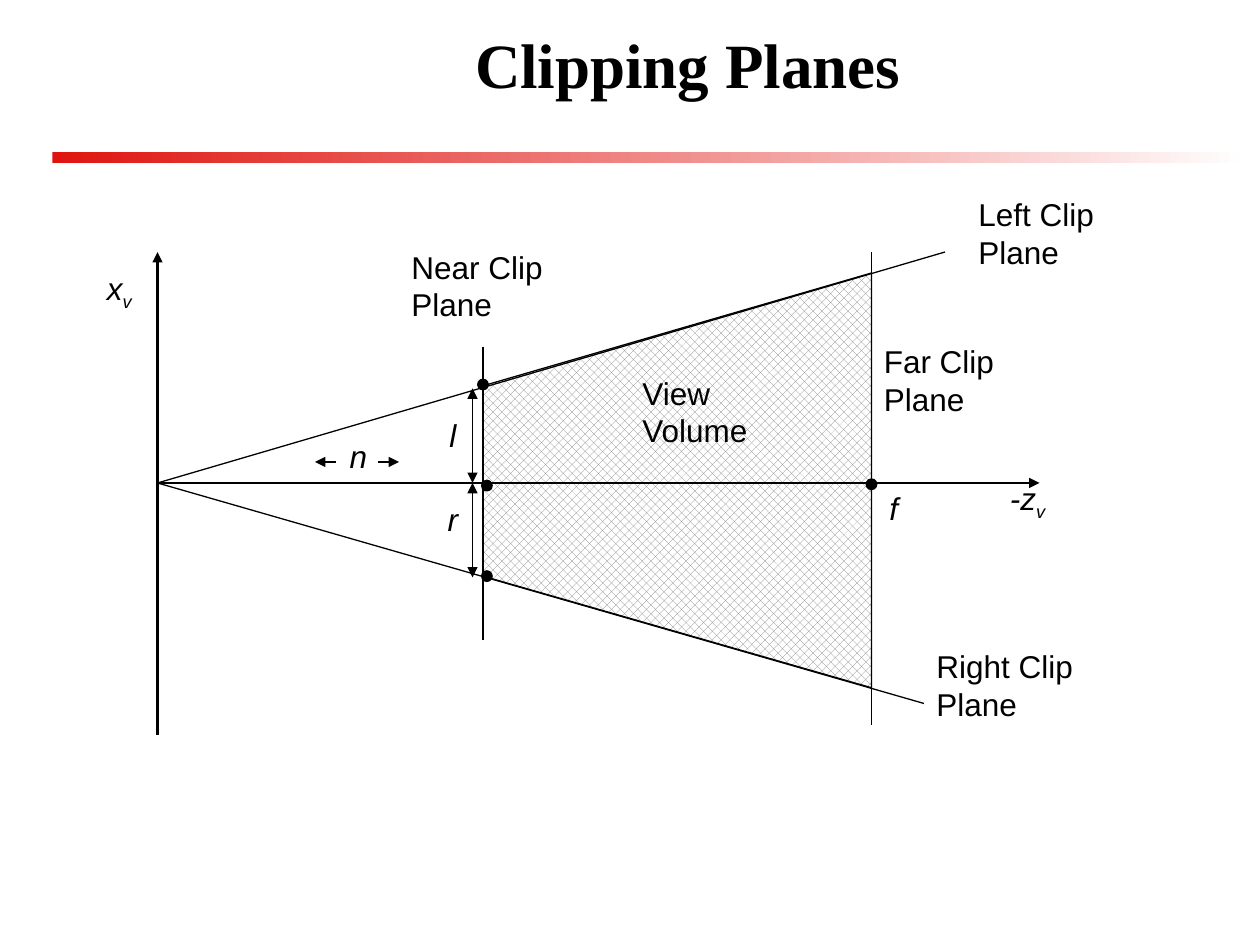
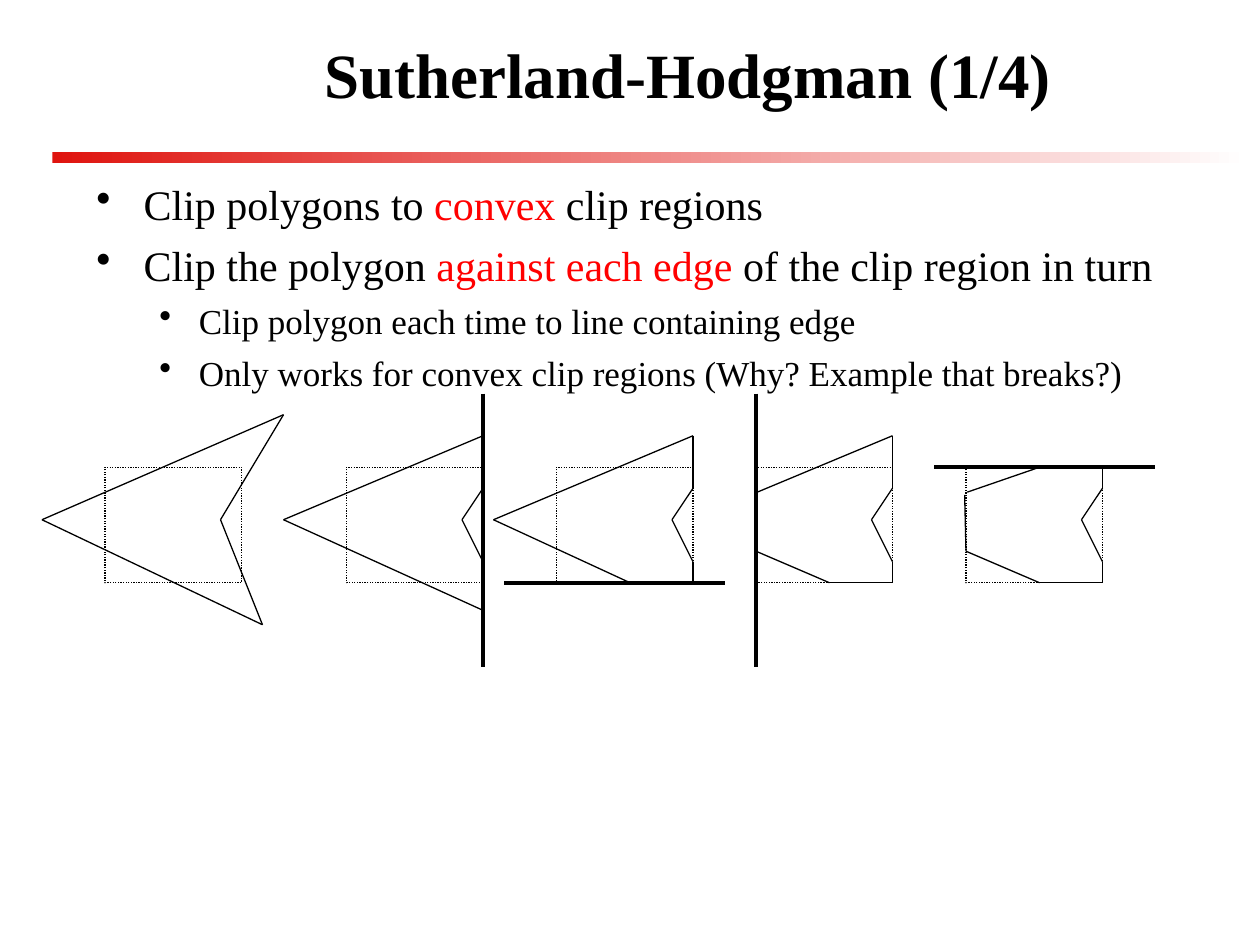
import itertools

import pptx
import pptx.util
import pptx.dml.color
import pptx.enum.dml
import pptx.enum.shapes
import pptx.enum.text
import pptx.oxml.ns
from lxml import etree

PX = 9525  # EMU in one px, 96 px to the inch
KIND = pptx.enum.shapes.MSO_SHAPE
ALIGN = pptx.enum.text.PP_ALIGN
qn = pptx.oxml.ns.qn


class Theme:
    black = pptx.dml.color.RGBColor.from_string("000000")
    white = pptx.dml.color.RGBColor.from_string("FFFFFF")
    red = pptx.dml.color.RGBColor.from_string("FF0000")
    band = pptx.dml.color.RGBColor.from_string("DF140F")
    hatch = pptx.dml.color.RGBColor.from_string("808080")
    serif, sans = "Times New Roman", "Arial"
    title, body, sub, label = 36, 24, 20, 18
    thin, axis, cut = 0.75, 1.5, 2.25


def draw(slide, start, end, width=Theme.thin, ends=()):
    """Draw a straight line; ends may name headEnd and tailEnd arrows."""
    line = slide.shapes.add_connector(
        pptx.enum.shapes.MSO_CONNECTOR.STRAIGHT, *(v * PX for v in (*start, *end)))
    line.line.color.rgb = Theme.black
    line.line.width = pptx.util.Pt(width)
    for name in ends:
        etree.SubElement(line.line._get_or_add_ln(), qn("a:" + name), type="triangle")
    etree.SubElement(line._element.spPr, qn("a:effectLst"))


def write(slide, box, paras, size, face, align=ALIGN.LEFT, bold=False, ital=False):
    """Write paragraphs of (text, colour, baseline) runs and return the frame."""
    frame = slide.shapes.add_textbox(*(v * PX for v in box)).text_frame
    frame.word_wrap = True
    for i, runs in enumerate(paras):
        para = frame.add_paragraph() if i else frame.paragraphs[0]
        para.alignment = align
        for text, tint, base in runs:
            run = para.add_run()
            run.text = text
            run.font.size = pptx.util.Pt(size)
            run.font.name = face
            run.font.bold = bold
            run.font.italic = ital
            run.font.color.rgb = tint
            if base:
                run._r.get_or_add_rPr().set("baseline", str(base))
    return frame


deck = pptx.Presentation()
deck.slide_width, deck.slide_height = 960 * PX, 720 * PX

# Shared band and title
pages = []
for name, top in (("Clipping Planes", 8), ("Sutherland-Hodgman (1/4)", 16)):
    page = deck.slides.add_slide(deck.slide_layouts[6])
    band = page.shapes.add_shape(KIND.RECTANGLE, 40 * PX, 116 * PX, 912 * PX, 8 * PX)
    band.shadow.inherit = False
    band.line.fill.background()
    band.fill.gradient()
    band.fill.gradient_angle = 0
    for stop, tint in zip(band.fill.gradient_stops, (Theme.band, Theme.white)):
        stop.color.rgb = tint
    frame = write(page, (112, top, 824, 80), [[(name, Theme.black, 0)]],
                  Theme.title, Theme.serif, ALIGN.CENTER, bold=True)
    frame.vertical_anchor = pptx.enum.text.MSO_ANCHOR.MIDDLE
    pages.append(page)
view, clip = pages

# View volume
path = view.shapes.build_freeform(664, 208, scale=PX)
path.add_line_segments([(368, 294), (368, 439), (664, 524)], close=True)
zone = path.convert_to_shape()
zone.shadow.inherit = False
zone.fill.patterned()
zone.fill.pattern = pptx.enum.dml.MSO_PATTERN.PERCENT_50
zone.fill.fore_color.rgb = Theme.hatch
zone.fill.back_color.rgb = Theme.white
zone.line.color.rgb = Theme.black
zone.line.width = pptx.util.Pt(Theme.thin)

# Axes, clip planes and measures
eye = (120, 368)
tail, both = ("tailEnd",), ("headEnd", "tailEnd")
for start, end, width, ends in (
    (eye, (792, 368), Theme.axis, tail),
    ((120, 560), (120, 192), Theme.axis, tail),
    (eye, (720, 192), Theme.thin, ()),
    (eye, (704, 536), Theme.thin, ()),
    ((368, 264), (368, 488), Theme.thin, ()),
    ((664, 192), (664, 552), Theme.thin, ()),
    ((288, 352), (304, 352), Theme.thin, tail),
    ((256, 352), (240, 352), Theme.thin, tail),
    ((360, 368), (360, 296), Theme.thin, both),
    ((360, 440), (360, 368), Theme.thin, both),
):
    draw(view, start, end, width, ends)

# Plane names
for left, top, wide, rows in (
    (304, 184, 152, ["Near Clip Plane"]),
    (664, 256, 152, ["Far Clip Plane"]),
    (480, 280, 137, ["View Volume"]),
    (736, 144, 135, ["Left Clip", "Plane"]),
    (704, 488, 154, ["Right Clip", "Plane"]),
):
    write(view, (left, top, wide, 86), [[(row, Theme.black, 0)] for row in rows],
          Theme.label, Theme.sans)

# Axis names and distances
for left, top, text in ((72, 200, "x"), (760, 360, "-z")):
    write(view, (left, top, 52, 48),
          [[(text, Theme.black, 0), ("v", Theme.black, -25000)]],
          Theme.label, Theme.sans, ital=True)
for left, top, text in ((656, 368, "f"), (248, 328, "n"), (320, 312, "l"), (320, 376, "r")):
    write(view, (left, top, 50, 48), [[(text, Theme.black, 0)]],
          Theme.label, Theme.sans, ALIGN.CENTER, ital=True)

# Crossing points
for left, top in ((660, 365), (367, 366), (364, 289), (367, 435)):
    dot = view.shapes.add_shape(KIND.OVAL, left * PX, top * PX, 8 * PX, 8 * PX)
    dot.shadow.inherit = False
    dot.fill.solid()
    dot.fill.fore_color.rgb = dot.line.color.rgb = Theme.black
    dot.line.width = pptx.util.Pt(Theme.thin)

# Bullets
points = [
    [("Clip polygons to ", Theme.black, 0), ("convex", Theme.red, 0),
     (" clip regions", Theme.black, 0)],
    [("Clip the polygon ", Theme.black, 0), ("against each edge ", Theme.red, 0),
     ("of the clip region in turn", Theme.black, 0)],
    [("Clip polygon each time to line containing edge", Theme.black, 0)],
    [("Only works for convex clip regions (Why? Example that breaks?)", Theme.black, 0)],
]
frame = write(clip, (64, 128, 848, 228), points, Theme.body, Theme.serif)
frame.margin_top = 8 * PX
for i, para in enumerate(frame.paragraphs):
    para.level, left, hang = (0, 36, 36) if i < 2 else (1, 78, 30)
    props = para._p.get_or_add_pPr()
    props.set("marL", str(left * PX))
    props.set("indent", str(-hang * PX))
    etree.SubElement(props, qn("a:buChar"), char="•")
    if i:
        para.space_before = pptx.util.Pt(6 if i < 2 else 5.5)
    if para.level:
        for run in para.runs:
            run.font.size = pptx.util.Pt(Theme.sub)

# Clip stages: frame left, outlines and cut line, with x counted from the frame
notch = [(104, 372), (88, 396), (104, 428)]
tip, peak = (-48, 396), (104, 332)
base = [(104, 444), (56, 444)]
stages = (
    (80, [[tip, (136, 316), (88, 396), (120, 476), tip]], None),
    (264, [[(104, 465), tip, peak], notch], ((104, 300), (104, 508))),
    (424, [[(56, 444), tip, peak, *notch, (104, 444)]], ((128, 444), (-40, 444))),
    (576, [[(1, 375), peak, *notch, *base, (0, 420)]], ((0, 300), (0, 508))),
    (736, [[(1, 375), (56, 356)], [(104, 356), *notch, *base, (0, 420), (-1, 377)]],
     ((144, 356), (-24, 356))),
)
for left, paths, cut in stages:
    pane = clip.shapes.add_shape(KIND.RECTANGLE, left * PX, 356 * PX, 104 * PX, 88 * PX)
    pane.shadow.inherit = False
    pane.fill.background()
    pane.line.color.rgb = Theme.black
    pane.line.width = pptx.util.Pt(Theme.thin)
    pane.line.dash_style = pptx.enum.dml.MSO_LINE.ROUND_DOT
    for path in paths:
        for (ax, ay), (bx, by) in itertools.pairwise(path):
            draw(clip, (left + ax, ay), (left + bx, by))
    if cut:
        (ax, ay), (bx, by) = cut
        draw(clip, (left + ax, ay), (left + bx, by), Theme.cut)

deck.save("out.pptx")
